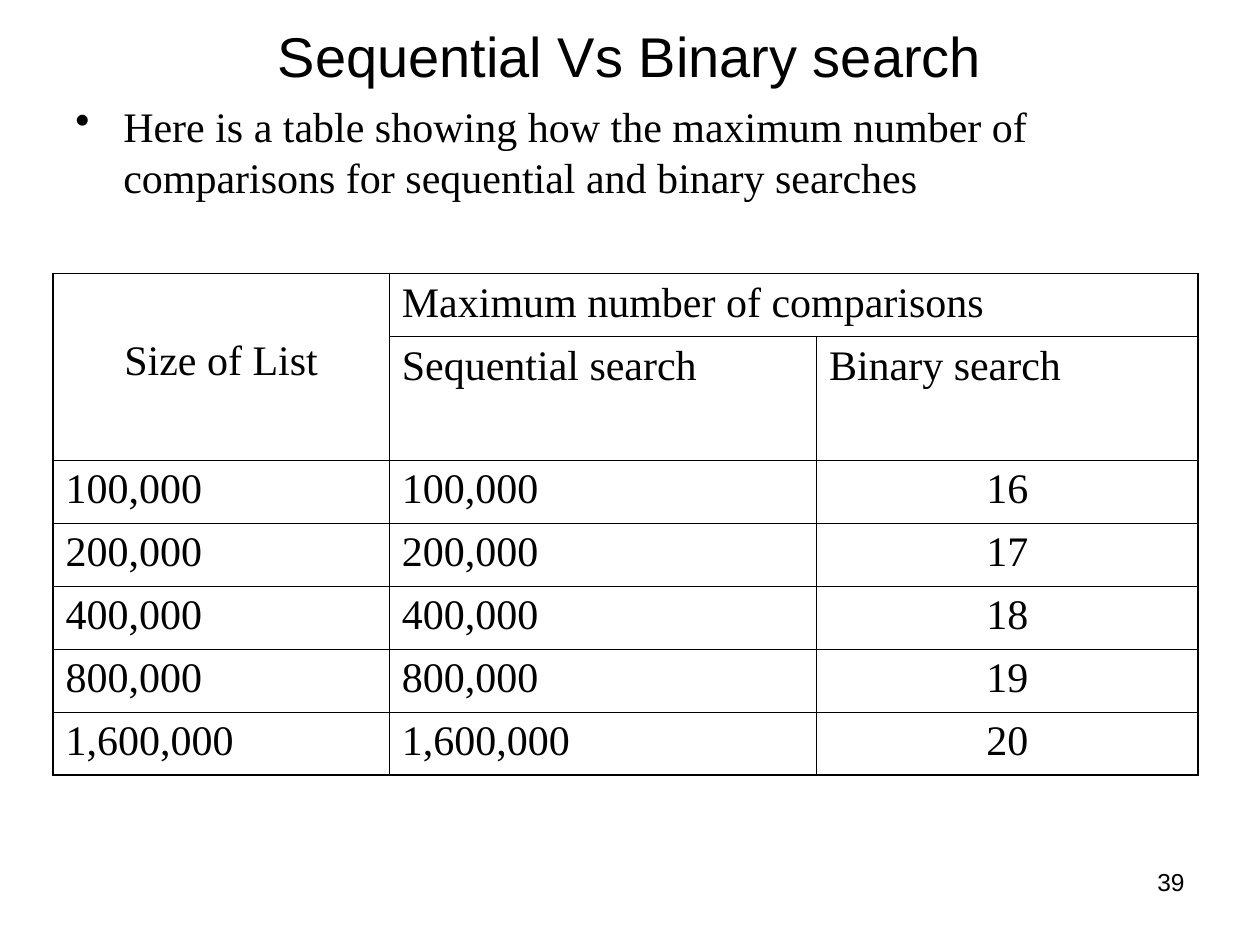
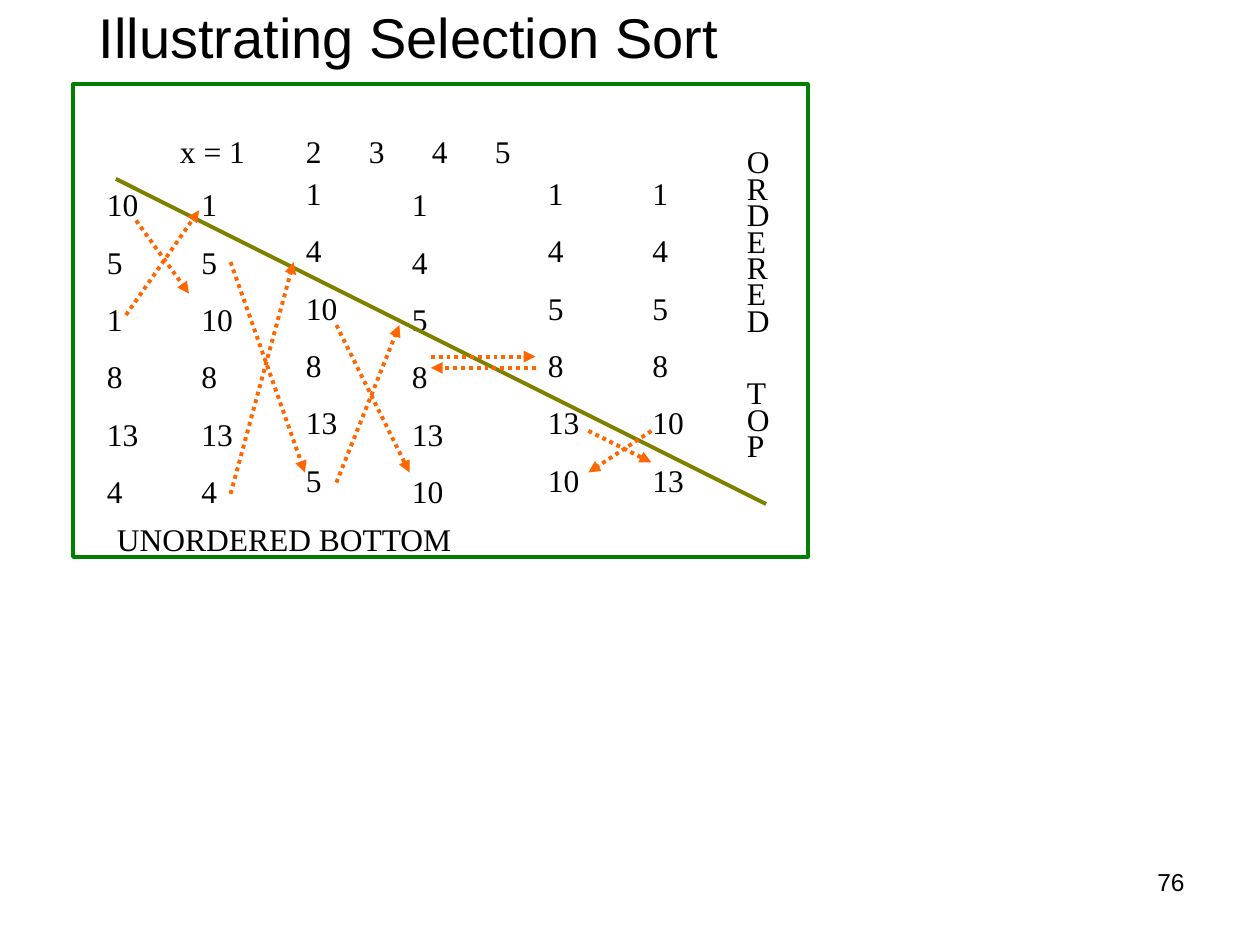
import dataclasses

import lxml.etree
import pptx
import pptx.dml.color
import pptx.enum.dml
import pptx.enum.shapes
import pptx.enum.text
import pptx.oxml.ns
import pptx.util

Inches = pptx.util.Inches
Pt = pptx.util.Pt
ALIGN = pptx.enum.text.PP_ALIGN
ANCHOR = pptx.enum.text.MSO_ANCHOR
qn = pptx.oxml.ns.qn


@dataclasses.dataclass(frozen=True)
class Theme:
    ink: str = "000000"
    frame: str = "008000"
    divider: str = "808000"
    swap: str = "FF6600"
    heading_font: str = "Arial"
    body_font: str = "Times New Roman"
    title_size: int = 32
    body_size: int = 24
    label_size: int = 18
    number_size: int = 14
    leading: float = 1.2
    tight_leading: float = 0.84
    line_width: float = 2.25
    outer_border: float = 1.08
    inner_border: float = 0.45
    value_gap: float = 11.2
    word_gap: float = 26.3


THEME = Theme()

COMPARISONS = [
    ("100,000", 16),
    ("200,000", 17),
    ("400,000", 18),
    ("800,000", 19),
    ("1,600,000", 20),
]

PASSES = [
    (0.75, 1.42, 0.75, (10, 5, 1, 8, 13, 4)),
    (1.5, 1.42, 0.5, (1, 5, 10, 8, 13, 4)),
    (2.33, 1.33, 0.58, (1, 4, 10, 8, 13, 5)),
    (3.17, 1.42, 0.58, (1, 4, 5, 8, 13, 10)),
    (4.25, 1.33, 0.58, (1, 4, 5, 8, 13, 10)),
    (5.08, 1.33, 0.83, (1, 4, 5, 8, 10, 13)),
]

SWAPS = [
    ((1, 2.5), (1.58, 1.67)),
    ((1.08, 1.75), (1.5, 2.33)),
    ((1.83, 3.92), (2.33, 2.08)),
    ((1.83, 2.08), (2.42, 3.75)),
    ((2.67, 3.83), (3.17, 2.58)),
    ((2.67, 2.58), (3.25, 3.75)),
    ((3.42, 2.83), (4.25, 2.83)),
    ((4.25, 2.92), (3.42, 2.92)),
    ((4.67, 3.42), (5.17, 3.67)),
    ((5.17, 3.42), (4.67, 3.75)),
]


def rgb(color):
    return pptx.dml.color.RGBColor.from_string(color)


def style_paragraph(paragraph, size, font, align=ALIGN.LEFT):
    paragraph.alignment = align
    paragraph.font.size = Pt(size)
    paragraph.font.name = font
    paragraph.font.color.rgb = rgb(THEME.ink)


def add_text(slide, lines, left, top, width, height, size, font=THEME.body_font,
             align=ALIGN.LEFT, anchor=ANCHOR.TOP, leading=None, gap=0):
    box = slide.shapes.add_textbox(Inches(left), Inches(top), Inches(width), Inches(height))
    frame = box.text_frame
    frame.word_wrap = True
    frame.vertical_anchor = anchor
    frame.text = "\n".join(str(line) for line in lines)
    for index, paragraph in enumerate(frame.paragraphs):
        style_paragraph(paragraph, size, font, align)
        if leading:
            paragraph.line_spacing = Pt(size * leading)
        if index:
            paragraph.space_before = Pt(gap)
    return frame


def add_title(slide, title, left, top, width, height):
    add_text(slide, [title], left, top, width, height, THEME.title_size,
             THEME.heading_font, ALIGN.CENTER, ANCHOR.MIDDLE)


def add_slide_number(slide, number):
    add_text(slide, [number], 7.17, 6.83, 2.33, 0.52, THEME.number_size,
             THEME.heading_font, ALIGN.RIGHT)


def add_label(slide, lines, left, top, width, height, leading=THEME.leading,
              gap=THEME.value_gap):
    add_text(slide, lines, left, top, width, height, THEME.label_size,
             leading=leading, gap=gap)


def add_bullet(slide, sentence, left, top, width, height):
    frame = add_text(slide, [sentence], left, top, width, height, THEME.body_size,
                     leading=THEME.leading)
    properties = frame.paragraphs[0]._p.get_or_add_pPr()
    properties.set("marL", str(Inches(0.38)))
    properties.set("indent", str(-Inches(0.38)))
    lxml.etree.SubElement(properties, qn("a:buChar"), char="•")
    properties.append(properties.find(qn("a:defRPr")))


def set_border(cell, sides):
    properties = cell._tc.get_or_add_tcPr()
    for position, (side, outer) in enumerate(sides.items()):
        width = THEME.outer_border if outer else THEME.inner_border
        border = lxml.etree.Element(qn(f"a:ln{side}"), w=str(Pt(width)))
        fill = lxml.etree.SubElement(border, qn("a:solidFill"))
        lxml.etree.SubElement(fill, qn("a:srgbClr"), val=THEME.ink)
        properties.insert(position, border)


def add_comparison_table(slide):
    widths = [2.67, 3.39, 3.03]
    heights = [0.5, 0.98] + [0.5] * len(COMPARISONS)
    rows, columns = len(heights), len(widths)
    table = slide.shapes.add_table(rows, columns, Inches(0.42), Inches(2.17),
                                   Inches(sum(widths)), Inches(sum(heights))).table
    table.first_row = table.horz_banding = False
    for column, width in zip(table.columns, widths):
        column.width = Inches(width)
    for row, height in zip(table.rows, heights):
        row.height = Inches(height)

    table.cell(0, 0).merge(table.cell(1, 0))
    table.cell(0, 1).merge(table.cell(0, 2))
    contents = [
        ("Size of List", "Maximum number of comparisons", ""),
        ("", "Sequential search", "Binary search"),
    ] + [(size, size, str(binary)) for size, binary in COMPARISONS]

    for r, texts in enumerate(contents):
        for c, text in enumerate(texts):
            cell = table.cell(r, c)
            cell.fill.background()
            if cell.is_spanned:
                continue
            cell.text = text
            centered = (r, c) == (0, 0) or (r > 1 and c == columns - 1)
            style_paragraph(cell.text_frame.paragraphs[0], THEME.body_size,
                            THEME.body_font, ALIGN.CENTER if centered else ALIGN.LEFT)
            set_border(cell, {
                "L": c == 0,
                "R": c + cell.span_width == columns,
                "T": r == 0,
                "B": r + cell.span_height == rows,
            })
    table.cell(0, 0).margin_top = Inches(0.51)


def add_line(slide, start, end, color, arrow=False):
    line = slide.shapes.add_connector(
        pptx.enum.shapes.MSO_CONNECTOR.STRAIGHT,
        *(Inches(length) for length in (*start, *end)))
    line.line.color.rgb = rgb(color)
    line.line.width = Pt(THEME.line_width)
    if arrow:
        line.line.dash_style = pptx.enum.dml.MSO_LINE.ROUND_DOT
        lxml.etree.SubElement(line.line._get_or_add_ln(), qn("a:tailEnd"), type="triangle")
    lxml.etree.SubElement(line._element.spPr, qn("a:effectLst"))


def add_frame(slide, left, top, width, height):
    frame = slide.shapes.add_shape(pptx.enum.shapes.MSO_SHAPE.RECTANGLE, Inches(left),
                                   Inches(top), Inches(width), Inches(height))
    frame.shadow.inherit = False
    frame.fill.background()
    frame.line.color.rgb = rgb(THEME.frame)
    frame.line.width = Pt(THEME.line_width)


def build_search_slide(slide):
    add_slide_number(slide, 39)
    add_title(slide, "Sequential Vs Binary search", 0.5, 0.3, 9, 0.28)
    add_bullet(slide, "Here is a table showing how the maximum number of comparisons "
                      "for sequential and binary searches", 0.5, 0.75, 9.25, 5.95)
    add_comparison_table(slide)


def build_sort_slide(slide):
    add_slide_number(slide, 76)
    add_title(slide, "Illustrating Selection Sort", 0.58, -0.25, 5.33, 1.08)
    add_label(slide, ["x = 1\t2\t3\t4\t5"], 1.33, 1, 7, 0.4)
    for left, top, width, values in PASSES:
        add_label(slide, values, left, top, width, 2.68)
    add_frame(slide, 0.58, 0.67, 5.83, 3.75)
    add_line(slide, (0.92, 1.42), (6.08, 4), THEME.divider)
    for start, end in SWAPS:
        add_line(slide, start, end, THEME.swap, arrow=True)
    add_label(slide, ["ORDERED", "TOP"], 5.83, 1.17, 0.5, 2.57,
              THEME.tight_leading, THEME.word_gap)
    add_label(slide, ["UNORDERED BOTTOM"], 0.83, 4.08, 5, 0.4)


def main():
    deck = pptx.Presentation()
    deck.slide_width, deck.slide_height = Inches(10), Inches(7.5)
    blank = deck.slide_layouts[6]
    for build in (build_search_slide, build_sort_slide):
        build(deck.slides.add_slide(blank))
    deck.save("out.pptx")


if __name__ == "__main__":
    main()
